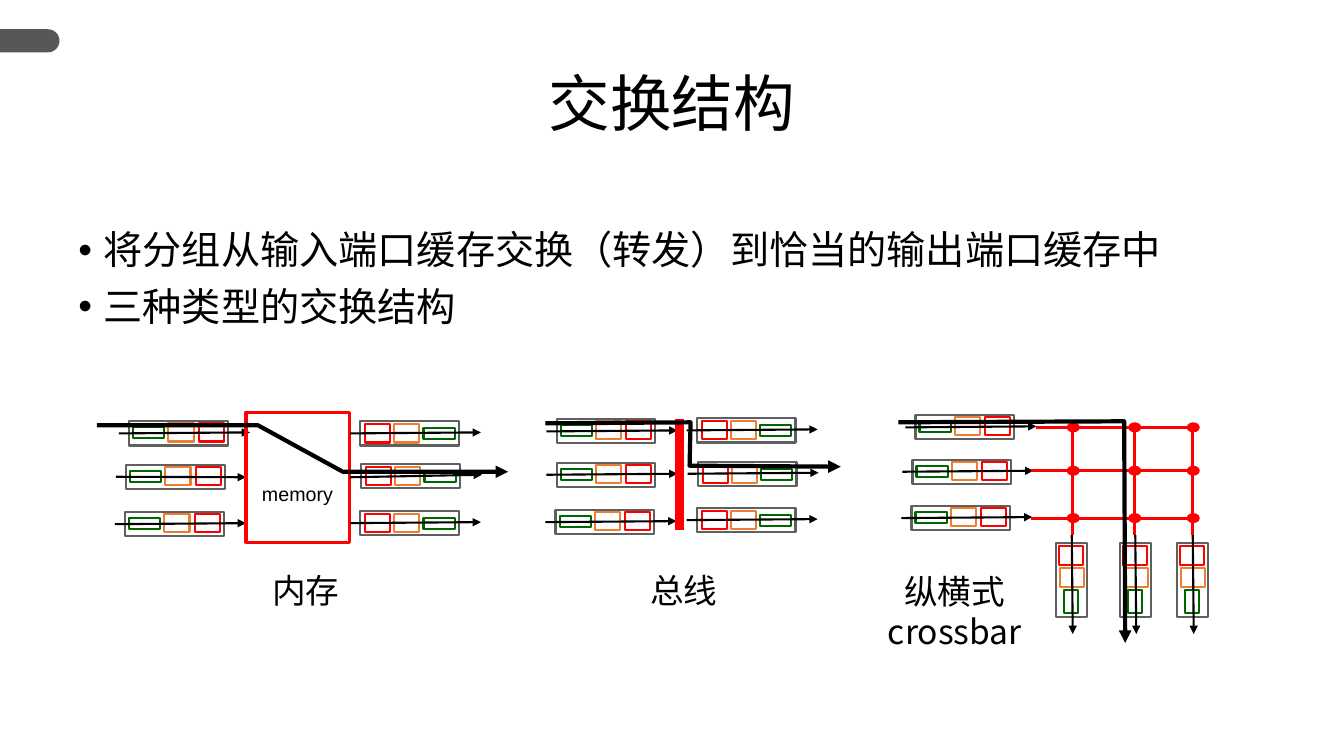
import dataclasses

import pptx
import pptx.dml.color
import pptx.enum.shapes
import pptx.enum.text
import pptx.oxml
import pptx.oxml.ns
import pptx.util

SHAPE = pptx.enum.shapes.MSO_SHAPE
ALIGN = pptx.enum.text.PP_ALIGN
ANCHOR = pptx.enum.text.MSO_ANCHOR
PLANS = {
    "in": [(0, 0, 0.98, 0.24), (0.04, 0.06, 0.31, 0.11), (0.39, 0.02, 0.25, 0.18),
           (0.69, 0.02, 0.25, 0.18), (-0.1, 0.12, 1.2, 0.11)],
    "out": [(0, 0, 0.98, 0.24), (0.63, 0.07, 0.31, 0.11), (0.34, 0.03, 0.25, 0.18),
            (0.05, 0.03, 0.25, 0.18), (-0.1, 0.12, 1.2, 0.11)],
    "down": [(0, 0, 0.74, 0.31), (0.25, 0.3, 0.23, 0.14), (0.28, 0.01, 0.19, 0.24),
             (0.27, -0.21, 0.19, 0.24), (0.37, -0.29, 0.38, 0.69)],
}


@dataclasses.dataclass
class Theme:
    ink: str = "000000"
    paper: str = "FFFFFF"
    gray: str = "5F5F5F"
    tab: str = "575757"
    green: str = "006600"
    orange: str = "ED7D31"
    red: str = "FF0000"
    head: float = 44
    body: float = 28
    label: float = 24
    small: float = 14
    thin: float = 1.5
    grid: float = 2.25
    flow: float = 3
    bus: float = 6
    face: str = "Noto Sans CJK SC"
    plain: str = "Arial"


def cm(inch):
    return pptx.util.Cm(inch * 2.54)


def rgb(code):
    return pptx.dml.color.RGBColor.from_string(code)


def apply(target, form):
    for key, value in form.items():
        setattr(target, key, value)


def node(tag, **attrs):
    item = pptx.oxml.parse_xml(f"<{tag} {pptx.oxml.ns.nsdecls('a')}/>")
    for key, value in attrs.items():
        item.set(key, value)
    return item


class Board:
    """Draw styled elements on the current slide."""

    def __init__(self, slide, theme):
        self.slide, self.theme = slide, theme

    def stroke(self, line, color, width, tip=False):
        line.color.rgb = rgb(color)
        line.width = pptx.util.Pt(width)
        if tip:
            line._get_or_add_ln().append(node("a:tailEnd", type="triangle"))

    def shape(self, kind, area, fill=None, line=None, width=1.5, turn=0, host=None):
        item = (host or self.slide).shapes.add_shape(kind, *map(cm, area))
        item.shadow.inherit = False
        item.rotation = turn
        if fill:
            item.fill.solid()
            item.fill.fore_color.rgb = rgb(fill)
        else:
            item.fill.background()
        if line:
            self.stroke(item.line, line, width)
        else:
            item.line.fill.background()
        return item

    def line(self, ends, color, width, tip=False, host=None):
        kind = pptx.enum.shapes.MSO_CONNECTOR.STRAIGHT
        item = (host or self.slide).shapes.add_connector(kind, *map(cm, ends))
        self.stroke(item.line, color, width, tip)
        item._element.spPr.append(node("a:effectLst"))
        return item

    def route(self, points):
        spots = [(cm(x), cm(y)) for x, y in points]
        trace = self.slide.shapes.build_freeform(*spots[0])
        trace.add_line_segments(spots[1:], close=False)
        item = trace.convert_to_shape()
        item.shadow.inherit = False
        item.fill.background()
        self.stroke(item.line, self.theme.ink, self.theme.flow, True)

    def queue(self, kind, x, y, host=None):
        theme = self.theme
        host = host or self.slide.shapes.add_group_shape()
        *boxes, (x1, y1, x2, y2) = PLANS[kind]
        tones = (theme.gray, theme.green, theme.orange, theme.red)
        for (dx, dy, wide, high), tone in zip(boxes, tones):
            self.shape(SHAPE.RECTANGLE, (x + dx, y + dy, wide, high), theme.paper, tone,
                       theme.thin, 90 if kind == "down" else 0, host)
        return self.line((x + x1, y + y1, x + x2, y + y2), theme.ink, theme.thin, True, host)

    def text(self, area, lines, size, face=None, form=None, frame=None, dots=False):
        box = self.slide.shapes.add_textbox(*map(cm, area)).text_frame
        apply(box, {"word_wrap": False} | (frame or {}))
        for rank, words in enumerate(lines):
            para = box.add_paragraph() if rank else box.paragraphs[0]
            if dots:
                props = para._p.get_or_add_pPr()
                props.set("marL", str(cm(0.25)))
                props.set("indent", str(-cm(0.25)))
                props.append(node("a:buFont", typeface=self.theme.plain))
                props.append(node("a:buChar", char="•"))
                if rank:
                    para.space_before = pptx.util.Pt(10)
            apply(para, form or {})
            run = para.add_run()
            run.text = words
            name = face or self.theme.face
            apply(run.font, {"size": pptx.util.Pt(size), "name": name})
            run.font.color.rgb = rgb(self.theme.ink)
            run._r.get_or_add_rPr().append(node("a:ea", typeface=name))


def memory(board):
    theme = board.theme
    ins = [board.queue("in", x, y) for x, y in ((1.28, 4.18), (1.25, 4.61), (1.24, 5.08))]
    core = board.shape(SHAPE.RECTANGLE, (2.44, 4.09, 1.03, 1.29), None, theme.red, theme.grid)
    outs = [board.queue("out", x, y) for x, y in ((3.57, 4.18), (3.58, 4.6), (3.57, 5.07))]
    ins[1].end_connect(core, 1)
    outs[1].begin_connect(core, 3)
    board.text((2.6, 5.6, 0.88, 0.5), ["内存"], theme.label)
    board.text((2.5, 4.73, 0.91, 0.34), ["memory"], theme.small, theme.plain)


def bus(board):
    theme = board.theme
    for x, y in ((5.52, 4.16), (5.52, 4.59), (5.51, 5.06)):
        board.queue("in", x, y)
    board.line((6.74, 4.16, 6.74, 5.26), theme.red, theme.bus)
    for x, y in ((6.91, 4.15), (6.92, 4.58), (6.91, 5.04)):
        board.queue("out", x, y)
    board.text((6.35, 5.6, 0.88, 0.5), ["总线"], theme.label)


def crossbar(board):
    theme = board.theme
    for x, y in ((9.08, 4.12), (9.05, 4.56), (9.04, 5.02)):
        board.queue("in", x, y)
    group = board.slide.shapes.add_group_shape()
    for x in (11.46, 10.89, 10.26):
        board.queue("down", x, 5.6, group)
    cols, rows = (10.64, 11.25, 11.83), (4.24, 4.67, 5.14)
    for x, y in zip((10.28, 10.23, 10.23), rows):
        board.line((x, y, cols[-1], y), theme.red, theme.grid)
    for x in cols:
        board.line((x, 5.31, x, rows[0]), theme.red, theme.grid)
    for x in cols:
        for y in rows:
            board.shape(SHAPE.OVAL, (x - 0.06, y - 0.05, 0.13, 0.1), theme.red)
    board.text((8.7, 5.61, 1.54, 0.91), ["纵横式", "crossbar"], theme.label,
               form={"alignment": ALIGN.CENTER})


def main():
    deck = pptx.Presentation()
    apply(deck, {"slide_width": cm(13.33), "slide_height": cm(7.5)})
    theme = Theme()
    board = Board(deck.slides.add_slide(deck.slide_layouts[6]), theme)
    tab = board.shape(SHAPE.ROUND_2_SAME_RECTANGLE, (0.18, 0.11, 0.23, 0.59), theme.tab, turn=90)
    tab.adjustments[0] = 0.5
    board.text((0, 0.68, 13.33, 0.75), ["交换结构"], theme.head,
               form={"alignment": ALIGN.CENTER, "line_spacing": 0.9},
               frame={"word_wrap": True, "vertical_anchor": ANCHOR.MIDDLE})
    board.text((0.68, 2.24, 11.33, 5.08),
               ["将分组从输入端口缓存交换（转发）到恰当的输出端口缓存中", "三种类型的交换结构"],
               theme.body, form={"line_spacing": 0.9}, frame={"word_wrap": True}, dots=True)
    for draw in (memory, bus, crossbar):
        draw(board)
    for points in (
        [(0.96, 4.22), (2.56, 4.22), (3.4, 4.68), (5.04, 4.68)],
        [(5.41, 4.2), (6.85, 4.19), (6.84, 4.62), (8.34, 4.63)],
        [(8.91, 4.19), (11.15, 4.18), (11.16, 6.38)],
    ):
        board.route(points)
    deck.save("out.pptx")


if __name__ == "__main__":
    main()
